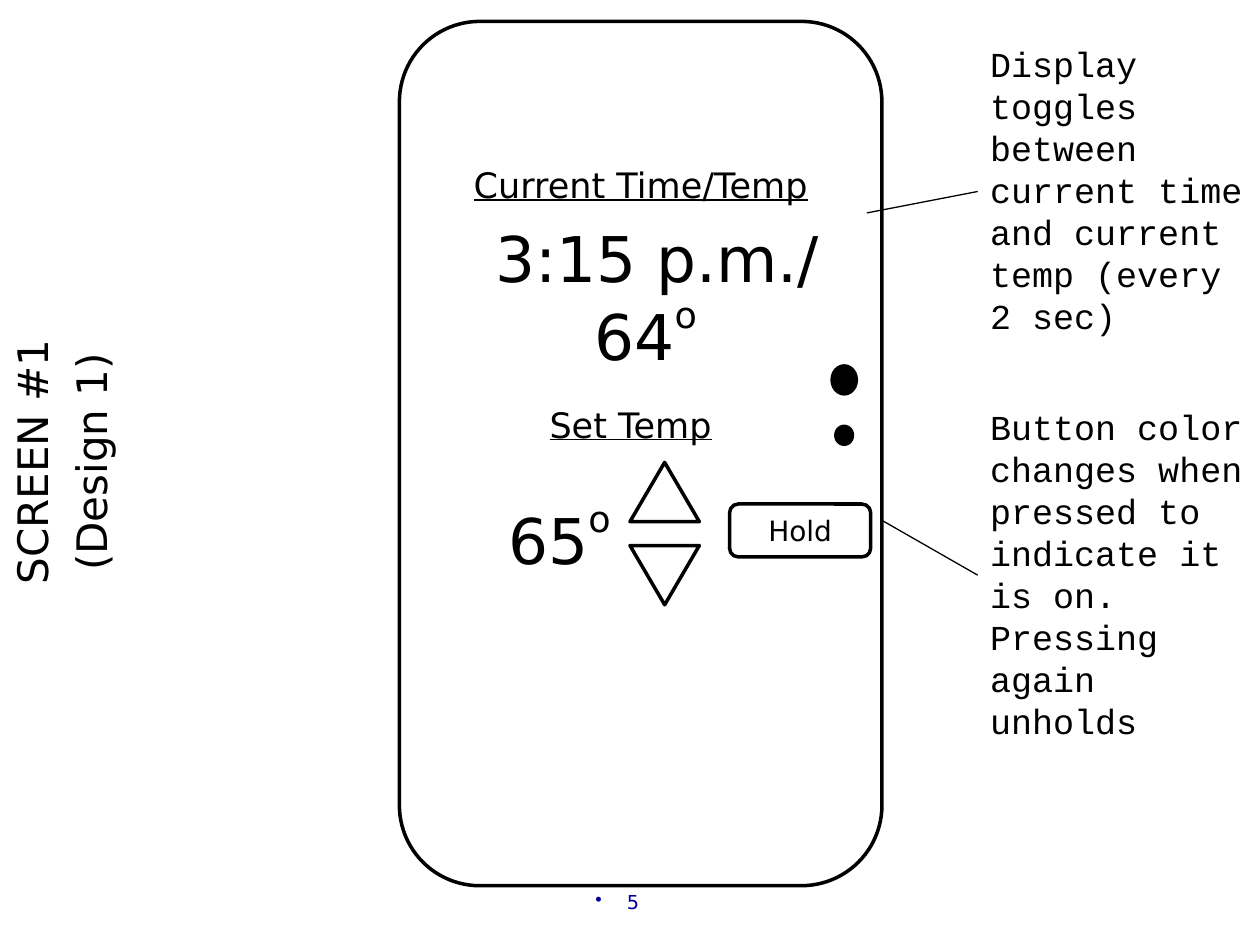
import pptx
import pptx.dml.color
import pptx.enum.shapes
import pptx.enum.text
import pptx.oxml.ns
import pptx.util
from lxml import etree
from pptx.util import Inches

SHAPES = pptx.enum.shapes.MSO_SHAPE
ALIGN = pptx.enum.text.PP_ALIGN
ANCHOR = pptx.enum.text.MSO_ANCHOR
SANS, MONO = "DejaVu Sans", "Courier New"
BLACK, WHITE, BLUE = "000000", "FFFFFF", "000099"


def rgb(color):
    """Return the colour for a hex string."""
    return pptx.dml.color.RGBColor.from_string(color)


def format_paragraph(paragraph, size, font=SANS, color=BLACK, align=ALIGN.CENTER):
    """Set the alignment and font of a paragraph."""
    paragraph.alignment = align
    paragraph.font.size = pptx.util.Pt(size)
    paragraph.font.name = font
    paragraph.font.color.rgb = rgb(color)


def add_label(slide, box, text, size, underline=None, superscript="", **style):
    """Add wrapped text in a box, with an optional superscript ending."""
    label = slide.shapes.add_textbox(*map(Inches, box))
    label.text_frame.word_wrap = True
    paragraph = label.text_frame.paragraphs[0]
    paragraph.add_run().text = text
    format_paragraph(paragraph, size, **style)
    paragraph.runs[0].font.underline = underline
    if superscript:
        raised = paragraph.add_run()
        raised.text = superscript
        raised.font._element.set("baseline", "50000")
    return label


def add_outline(slide, kind, box, fill=None, line=BLACK):
    """Add a preset shape with a two-point outline or a plain fill."""
    shape = slide.shapes.add_shape(kind, *map(Inches, box))
    shape.shadow.inherit = False
    if fill:
        shape.fill.solid()
        shape.fill.fore_color.rgb = rgb(fill)
    else:
        shape.fill.background()
    if line:
        shape.line.color.rgb = rgb(line)
        shape.line.width = pptx.util.Pt(2)
    else:
        shape.line.fill.background()
    return shape


def add_screen_name(slide, box):
    """Add the screen's name, reading upwards along the left edge."""
    frame = slide.shapes.add_textbox(*map(Inches, box)).text_frame
    frame.text = "SCREEN #1\n(Design 1)"
    frame.word_wrap = True
    frame._txBody.bodyPr.set("vert", "vert270")
    for paragraph in frame.paragraphs:
        format_paragraph(paragraph, 24)
    frame.paragraphs[1].space_before = pptx.util.Pt(4.8)


def add_thermostat(slide, box):
    """Draw the thermostat with its readings, arrows, button and lights."""
    left, top, width, height = box

    def place(x, y, w, h):
        return left + x, top + y, w, h

    add_outline(slide, SHAPES.ROUNDED_RECTANGLE, box)
    add_label(slide, place(0.29, 1.08, 3.25, 0.44), "Current Time/Temp", 20, underline=True)
    add_label(slide, place(0.42, 1.52, 3.25, 0.71), "3:15 p.m./", 36)
    add_label(slide, place(0.33, 2.1, 3.25, 0.71), "64", 36, superscript="o")
    add_label(slide, place(0.21, 2.98, 3.25, 0.44), "Set Temp", 20, underline=True)
    add_label(slide, place(0.66, 3.72, 1.22, 0.71), "65", 36, superscript="o")

    for y, rotation in ((3.5, 0), (4.16, 180)):
        arrow = add_outline(slide, SHAPES.ISOSCELES_TRIANGLE, place(1.83, y, 0.55, 0.47))
        arrow.rotation = rotation

    hold = add_outline(slide, SHAPES.ROUNDED_RECTANGLE, place(2.62, 3.83, 1.12, 0.42), WHITE)
    hold.text_frame.text = "Hold"
    hold.text_frame.vertical_anchor = ANCHOR.MIDDLE
    format_paragraph(hold.text_frame.paragraphs[0], 16)

    for light in ((3.42, 2.72, 0.22, 0.25), (3.45, 3.2, 0.16, 0.17)):
        add_outline(slide, SHAPES.OVAL, place(*light), BLACK, None)


def add_note(slide, box, text, target):
    """Add a side note with a leader from its left side to the target."""
    note = add_label(slide, box, text, 20, font=MONO, align=ALIGN.LEFT)
    end_x, end_y = map(Inches, target)
    leader = slide.shapes.add_connector(
        pptx.enum.shapes.MSO_CONNECTOR.STRAIGHT, note.left, note.top, end_x, end_y)
    leader.begin_connect(note, 1)
    leader.line.color.rgb = rgb(BLACK)
    leader.line.width = pptx.util.Pt(0.75)
    etree.SubElement(leader._element.spPr, pptx.oxml.ns.qn("a:effectLst"))


def add_page_number(slide, box):
    """Add the bulleted page number at the foot."""
    number = slide.shapes.add_textbox(*map(Inches, box))
    number.text_frame.word_wrap = True
    number.text_frame.margin_right = Inches(0.3)
    paragraph = number.text_frame.paragraphs[0]
    paragraph.text = "5"
    properties = paragraph._p.get_or_add_pPr()
    properties.set("marL", str(Inches(0.25)))
    properties.set("indent", str(-Inches(0.25)))
    etree.SubElement(properties, pptx.oxml.ns.qn("a:buChar"), char="•")
    format_paragraph(paragraph, 11, color=BLUE)


def main():
    """Build and save the thermostat slide."""
    deck = pptx.Presentation()
    deck.slide_width, deck.slide_height = Inches(10), Inches(7.5)
    slide = deck.slides.add_slide(deck.slide_layouts[6])
    add_screen_name(slide, (0, 1.89, 1.09, 3.55))
    add_thermostat(slide, (3.17, 0.17, 3.83, 6.86))
    add_note(slide, (7.76, 0.29, 2.34, 2.46),
             "Display toggles between current time and current temp (every 2 sec)",
             (6.88, 1.69))
    add_note(slide, (7.76, 3.17, 2.34, 2.79),
             "Button color changes when pressed to indicate it is on. Pressing again unholds",
             (7, 4.13))
    add_page_number(slide, (0.25, 7.02, 9.5, 0.17))
    deck.save("out.pptx")


if __name__ == "__main__":
    main()
